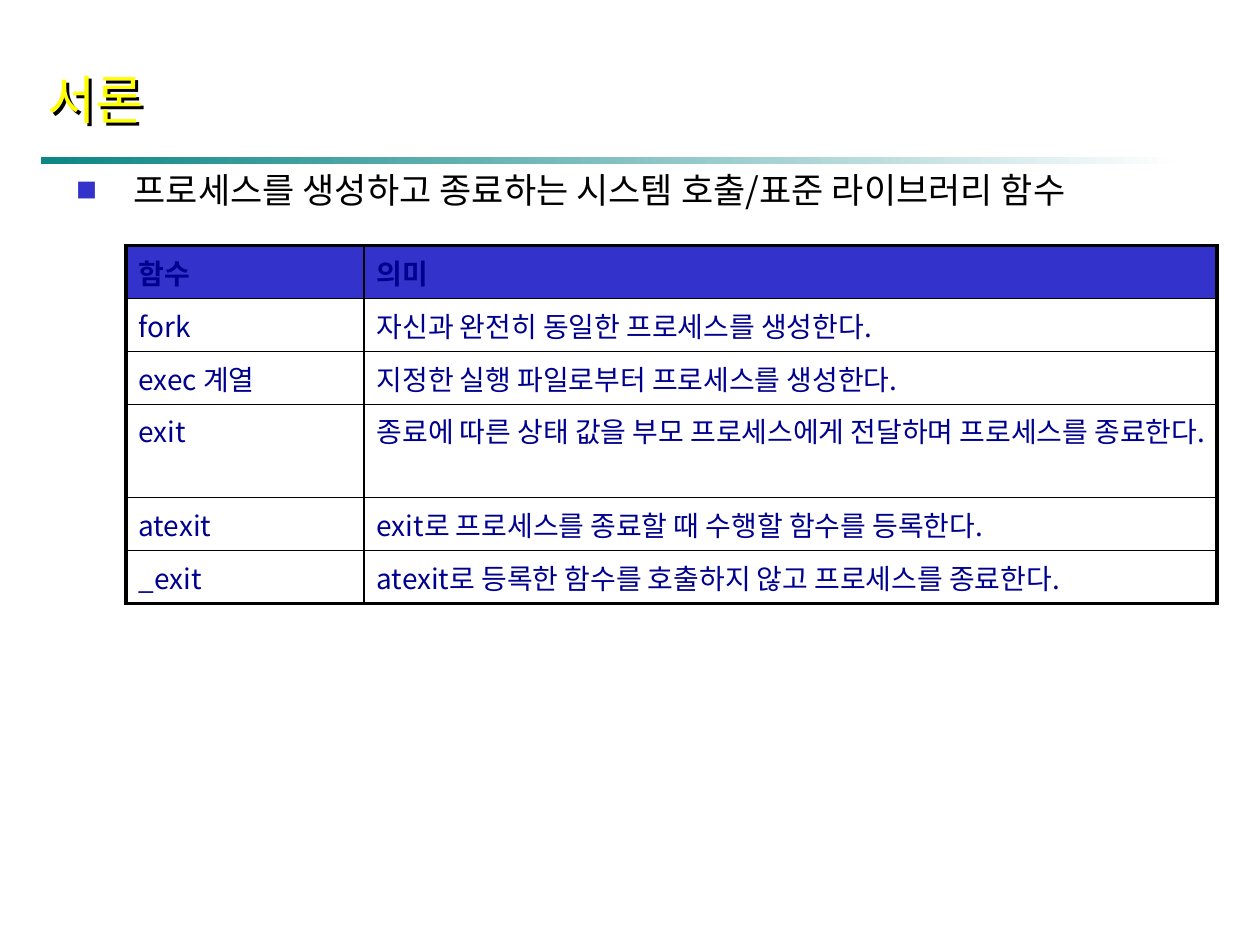
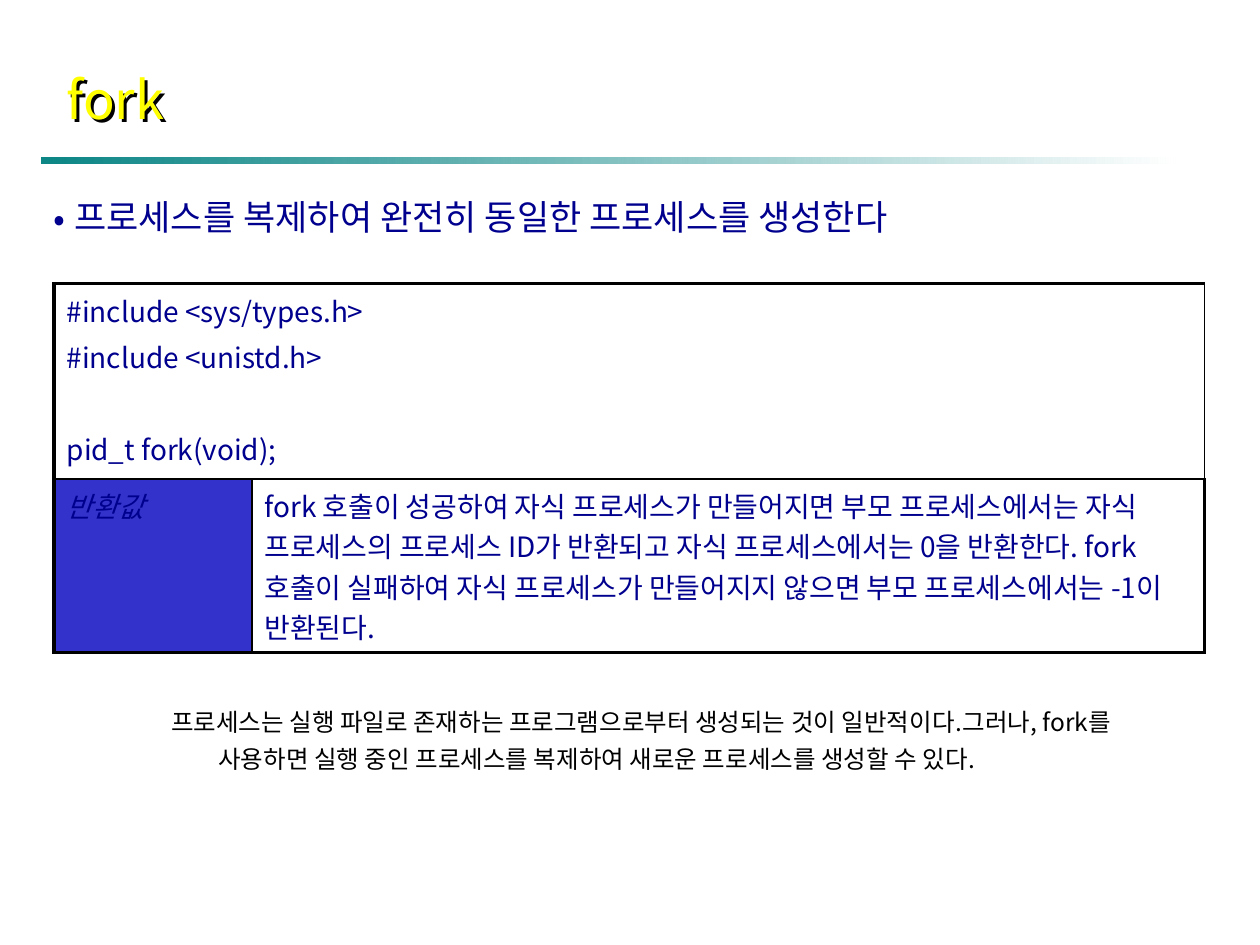
import pptx
import pptx.util
import pptx.dml.color
import pptx.enum.shapes
import pptx.enum.text
import pptx.oxml.ns
import lxml.etree

Pt = pptx.util.Pt
FONT = "Noto Sans CJK KR"
COLORS = {"title": "FFFF00", "ink": "000000", "navy": "00008E",
          "header": "3333CC", "teal": "008080", "paper": "FFFFFF"}
OUTER, INNER = 2.25, 1
CELL_SIZE = 16
CELL_GAP = 3.2
BLANK_LINE = 26.4

INTRO = {
    "title": "서론",
    "lead": "프로세스를 생성하고 종료하는 시스템 호출/표준 라이브러리 함수",
    "functions": [
        ("함수", "의미"),
        ("fork", "자신과 완전히 동일한 프로세스를 생성한다."),
        ("exec 계열", "지정한 실행 파일로부터 프로세스를 생성한다."),
        ("exit", "종료에 따른 상태 값을 부모 프로세스에게 전달하며 프로세스를 종료한다."),
        ("atexit", "exit로 프로세스를 종료할 때 수행할 함수를 등록한다."),
        ("_exit", "atexit로 등록한 함수를 호출하지 않고 프로세스를 종료한다."),
    ],
}
FORK = {
    "title": "fork",
    "lead": "프로세스를 복제하여 완전히 동일한 프로세스를 생성한다",
    "headers": ["#include <sys/types.h>", "#include <unistd.h>"],
    "prototype": "pid_t fork(void);",
    "return_label": "반환값",
    "return_value": "fork 호출이 성공하여 자식 프로세스가 만들어지면 부모 프로세스에서는 자식 "
                    "프로세스의 프로세스 ID가 반환되고 자식 프로세스에서는 0을 반환한다. "
                    "fork 호출이 실패하여 자식 프로세스가 만들어지지 않으면 부모 프로세스에서는 "
                    "-1이 반환된다.",
    "note": "프로세스는 실행 파일로 존재하는 프로그램으로부터 생성되는 것이 일반적이다.그러나, "
            "fork를 사용하면 실행 중인 프로세스를 복제하여 새로운 프로세스를 생성할 수 있다.",
}


def rgb(name):
    return pptx.dml.color.RGBColor.from_string(COLORS[name])


def add_xml(parent, tag, **attributes):
    return lxml.etree.SubElement(parent, pptx.oxml.ns.qn("a:" + tag), attributes)


def style(paragraph, size, color, bold=False, italic=False):
    font = paragraph.font
    font.name, font.size, font.bold, font.italic = FONT, Pt(size), bold, italic
    font.color.rgb = rgb(color)
    default_run = paragraph._p.pPr.find(pptx.oxml.ns.qn("a:defRPr"))
    add_xml(default_run, "ea", typeface=FONT)


def add_text(slide, box, text, size, color, hang=0, bullet=None,
             bullet_color=None, bullet_size=100, inset=3.6):
    area = slide.shapes.add_textbox(*map(Pt, box))
    frame = area.text_frame
    frame.word_wrap = True
    frame.margin_top = Pt(inset)
    paragraph = frame.paragraphs[0]
    paragraph.text = text
    properties = paragraph._p.get_or_add_pPr()
    if hang:
        properties.set("marL", str(Pt(hang)))
        properties.set("indent", str(-Pt(hang)))
    if bullet:
        add_xml(add_xml(properties, "buClr"), "srgbClr", val=COLORS[bullet_color])
        add_xml(properties, "buSzPct", val=str(bullet_size * 1000))
        add_xml(properties, "buFont", typeface=FONT)
        add_xml(properties, "buChar", char=bullet)
    style(paragraph, size, color)
    return area


def add_base(deck, title, title_left):
    slide = deck.slides.add_slide(deck.slide_layouts[6])
    rule = slide.shapes.add_shape(pptx.enum.shapes.MSO_SHAPE.RECTANGLE,
                                  Pt(24), Pt(90), Pt(648), Pt(3.6))
    rule.shadow.inherit = False
    rule.line.fill.background()
    rule.fill.gradient()
    rule.fill.gradient_angle = 0
    for stop, position, color in zip(rule.fill.gradient_stops, (0, 1), ("teal", "paper")):
        stop.position = position
        stop.color.rgb = rgb(color)
    teal = next(rule._element.spPr.iter(pptx.oxml.ns.qn("a:srgbClr")))
    add_xml(teal, "alpha", val="95000")

    heading = add_text(slide, (title_left, 31.68, 467.28, 48.96), title, 30, "title")
    heading.text_frame.vertical_anchor = pptx.enum.text.MSO_ANCHOR.MIDDLE
    effects = add_xml(heading._element.spPr, "effectLst")
    shadow = add_xml(effects, "outerShdw", dist=str(Pt(2.5)), dir="2700000", algn="ctr")
    add_xml(shadow, "srgbClr", val=COLORS["ink"])
    return slide


def add_grid(slide, left, top, widths, heights):
    grid = slide.shapes.add_table(len(heights), len(widths), Pt(left), Pt(top),
                                  Pt(sum(widths)), Pt(sum(heights))).table
    grid.first_row = grid.horz_banding = False
    for column, width in zip(grid.columns, widths):
        column.width = Pt(width)
    for row, height in zip(grid.rows, heights):
        row.height = Pt(height)
    for r in range(len(heights)):
        for c in range(len(widths)):
            cell = grid.cell(r, c)
            edges = {"lnL": c == 0, "lnR": c == len(widths) - 1,
                     "lnT": r == 0, "lnB": r == len(heights) - 1}
            properties = cell._tc.get_or_add_tcPr()
            for tag, is_outer in edges.items():
                line = add_xml(properties, tag, w=str(Pt(OUTER if is_outer else INNER)))
                add_xml(add_xml(line, "solidFill"), "srgbClr", val=COLORS["ink"])
            cell.fill.background()
    return grid


def fill_cell(cell, lines, shaded=False, **emphasis):
    cell.text = "\n".join(lines)
    for index, paragraph in enumerate(cell.text_frame.paragraphs):
        if index:
            paragraph.space_before = Pt(CELL_GAP)
        style(paragraph, CELL_SIZE, "navy", **emphasis)
    if shaded:
        cell.fill.solid()
        cell.fill.fore_color.rgb = rgb("header")


def build_intro(deck):
    slide = add_base(deck, INTRO["title"], 20.16)
    add_text(slide, (36.72, 95.76, 671.76, 33.84), INTRO["lead"], 20, "ink",
             hang=32.6, bullet="■", bullet_color="header", bullet_size=60, inset=0.6)
    heights = [53.28 if name == "exit" else 30.24 for name, _ in INTRO["functions"]]
    grid = add_grid(slide, 72, 140.4, (136.08, 487.44), heights)
    for r, row in enumerate(INTRO["functions"]):
        for c, text in enumerate(row):
            fill_cell(grid.cell(r, c), [text], shaded=r == 0, bold=r == 0)


def build_fork(deck):
    slide = add_base(deck, FORK["title"], 30.96)
    add_text(slide, (23.76, 110.88, 671.76, 33.84), FORK["lead"], 20, "navy",
             hang=11.6, bullet="•", bullet_color="navy", inset=0.6)
    grid = add_grid(slide, 30.96, 162, (113.04, 544.32), (111.6, 99.36))
    synopsis = grid.cell(0, 0)
    synopsis.merge(grid.cell(0, 1))
    fill_cell(synopsis, FORK["headers"] + [FORK["prototype"]])
    synopsis.text_frame.paragraphs[-1].space_before = Pt(CELL_GAP + BLANK_LINE)
    fill_cell(grid.cell(1, 0), [FORK["return_label"]], shaded=True, italic=True)
    fill_cell(grid.cell(1, 1), [FORK["return_value"]])
    note = add_text(slide, (90.72, 394.56, 604.08, 73.44), FORK["note"], 14, "ink",
                    hang=27, inset=5.5)
    note.text_frame.paragraphs[0].line_spacing = 1.24


def main():
    deck = pptx.Presentation()
    deck.slide_width, deck.slide_height = Pt(720), Pt(540)
    build_intro(deck)
    build_fork(deck)
    deck.save("out.pptx")


if __name__ == "__main__":
    main()
